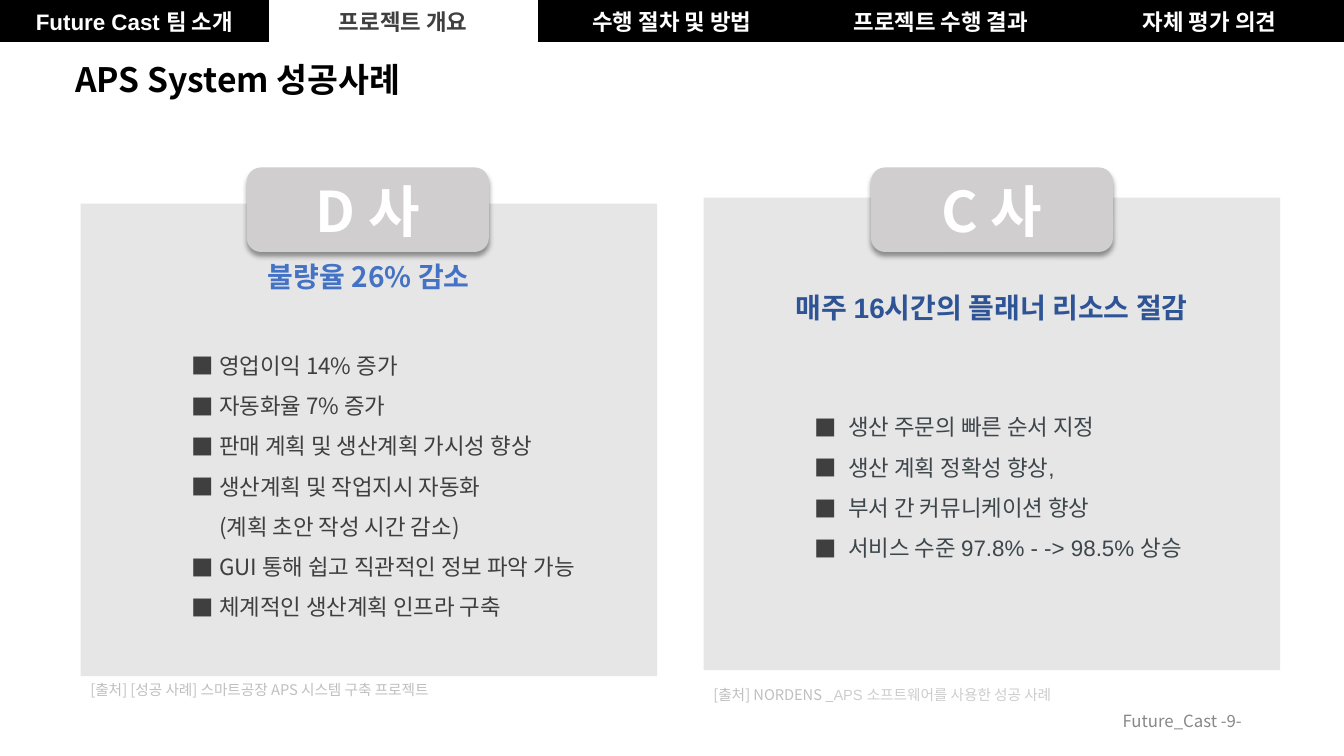
from dataclasses import dataclass

from pptx import Presentation
from pptx.dml.color import RGBColor
from pptx.enum.shapes import MSO_SHAPE
from pptx.enum.text import MSO_ANCHOR, MSO_AUTO_SIZE, PP_ALIGN
from pptx.oxml import parse_xml
from pptx.oxml.ns import nsdecls, qn
from pptx.util import Cm, Pt


@dataclass(frozen=True)
class Style:
    size: float
    color: str
    face: str = "Noto Sans CJK KR"
    bold: bool = False


class Theme:
    korean = "Noto Sans CJK KR"
    panel = "E7E6E6"
    badge = "D0CECE"
    tab_fill = "000000"
    active_fill = "FFFFFF"
    bullet = "3F3F3F"
    tab = Style(16, "FFFFFF", "Arial", True)
    active_tab = Style(16, "3F3F3F", "Arial", True)
    title = Style(24, "000000", bold=True)
    badge_text = Style(40, "FFFFFF", bold=True)
    headline_d = Style(20, "4472C4", bold=True)
    headline_c = Style(20, "2F5496", "Arial", True)
    body_d = Style(16, "3F3F3F")
    body_c = Style(16, "3C464B", "Arial")
    source = Style(10.5, "BFBFBF")
    source_light = Style(10.5, "CDCDCD", "Arial")
    footer = Style(12, "888888")


BODY_PITCH = Pt(28.8)
PANEL_WIDTH, PANEL_HEIGHT = Cm(14.53), Cm(11.91)
TABS = ["Future Cast 팀 소개", "프로젝트 개요", "수행 절차 및 방법", "프로젝트 수행 결과", "자체 평가 의견"]
ACTIVE_TAB = 1
NOTE = "(계획 초안 작성 시간 감소)"
RESULTS_D = [
    "영업이익 14% 증가",
    "자동화율 7% 증가",
    "판매 계획 및 생산계획 가시성 향상",
    "생산계획 및 작업지시 자동화",
    NOTE,
    "GUI 통해 쉽고 직관적인 정보 파악 가능",
    "체계적인 생산계획 인프라 구축",
]
RESULTS_C = [
    "생산 주문의 빠른 순서 지정",
    "생산 계획 정확성 향상,",
    "부서 간 커뮤니케이션 향상",
    "서비스 수준 97.8% - -> 98.5% 상승",
]


def apply_style(font, properties, style):
    font.size = Pt(style.size)
    font.bold = style.bold
    font.color.rgb = RGBColor.from_string(style.color)
    font.name = style.face
    latin = properties().find(qn("a:latin"))
    latin.addnext(parse_xml(f'<a:ea {nsdecls("a")} typeface="{Theme.korean}"/>'))


def write(para, text, style, align=PP_ALIGN.LEFT):
    para.alignment = align
    para.add_run().text = text
    apply_style(para.font, lambda: para._p.pPr.find(qn("a:defRPr")), style)


def write_span(para, text, style):
    span = para.add_run()
    span.text = text
    apply_style(span.font, lambda: span._r.rPr, style)


def set_bullet(para, margin, hanging, marked):
    properties = para._p.get_or_add_pPr()
    properties.set("marL", str(margin))
    properties.set("indent", str(-hanging if marked else 0))
    if marked:
        for xml in (
            f'<a:buClr {nsdecls("a")}><a:srgbClr val="{Theme.bullet}"/></a:buClr>',
            f'<a:buFont {nsdecls("a")} typeface="{Theme.korean}"/>',
            f'<a:buChar {nsdecls("a")} char="■"/>',
        ):
            properties.append(parse_xml(xml))


def add_block(page, kind, left, top, width, height, color):
    block = page.shapes.add_shape(kind, left, top, width, height)
    block.shadow.inherit = False
    block.fill.solid()
    block.fill.fore_color.rgb = RGBColor.from_string(color)
    block.line.fill.background()
    block.text_frame.word_wrap = True
    block.text_frame.vertical_anchor = MSO_ANCHOR.MIDDLE
    return block


def add_panel(page, left, top, headline, headline_style, gap, results, style, hanging):
    panel = add_block(page, MSO_SHAPE.RECTANGLE, left, top, PANEL_WIDTH, PANEL_HEIGHT, Theme.panel)
    frame = panel.text_frame
    heading = frame.paragraphs[0]
    heading.space_after = gap
    write(heading, headline, headline_style, PP_ALIGN.CENTER)
    for result in results:
        para = frame.add_paragraph()
        set_bullet(para, Cm(2.54) + hanging, hanging, result != NOTE)
        para.line_spacing = BODY_PITCH
        write(para, result, style)
    return panel


def add_badge(page, left, text):
    badge = add_block(page, MSO_SHAPE.ROUNDED_RECTANGLE, left, Cm(4.22), Cm(6.1), Cm(2.13), Theme.badge)
    badge._element.spPr.find(qn("a:effectLst")).append(parse_xml(
        f'<a:outerShdw {nsdecls("a")} blurRad="{Pt(4)}" dist="{Pt(3)}" dir="5400000" rotWithShape="0">'
        '<a:srgbClr val="000000"><a:alpha val="40000"/></a:srgbClr></a:outerShdw>'
    ))
    write(badge.text_frame.paragraphs[0], text, Theme.badge_text, PP_ALIGN.CENTER)


def add_text_box(page, left, top, width, height):
    box = page.shapes.add_textbox(left, top, width, height)
    box.text_frame.word_wrap = True
    box.text_frame.auto_size = MSO_AUTO_SIZE.SHAPE_TO_FIT_TEXT
    return box.text_frame


def add_tabs(page, width):
    table = page.shapes.add_table(1, len(TABS), 0, 0, width, Cm(1.06)).table
    table.first_row = table.horz_banding = False
    table._tbl.tblPr.find(qn("a:tableStyleId")).text = "{2D5ABB26-0587-4C30-8999-92F81FD0307C}"
    for index, label in enumerate(TABS):
        active = index == ACTIVE_TAB
        cell = table.cell(0, index)
        cell.fill.solid()
        cell.fill.fore_color.rgb = RGBColor.from_string(Theme.active_fill if active else Theme.tab_fill)
        style = Theme.active_tab if active else Theme.tab
        write(cell.text_frame.paragraphs[0], label, style, PP_ALIGN.CENTER)


def main():
    deck = Presentation()
    deck.slide_width, deck.slide_height = Cm(33.87), Cm(19.05)
    page = deck.slides.add_slide(deck.slide_layouts[6])

    panel_c = add_panel(page, Cm(17.73), Cm(4.98), "매주 16시간의 플래너 리소스 절감",
                        Theme.headline_c, Pt(54), RESULTS_C, Theme.body_c, Cm(0.86))
    panel_c.text_frame.paragraphs[0].line_spacing = Pt(36)
    panel_c.text_frame.margin_bottom = Cm(0.95)
    add_tabs(page, deck.slide_width)

    footer = add_text_box(page, Cm(23.93), Cm(17.65), Cm(7.62), Cm(1.02))
    footer.auto_size = MSO_AUTO_SIZE.NONE
    footer.vertical_anchor = MSO_ANCHOR.MIDDLE
    write(footer.paragraphs[0], "Future_Cast -9-", Theme.footer, PP_ALIGN.RIGHT)

    add_panel(page, Cm(2.03), Cm(5.13), "불량율 26% 감소",
              Theme.headline_d, Pt(32.4), RESULTS_D, Theme.body_d, Cm(0.7))
    add_badge(page, Cm(6.22), "D 사")
    add_badge(page, Cm(21.95), "C 사")

    source_d = add_text_box(page, Cm(2.03), Cm(17.04), Cm(10.85), Cm(0.71))
    write(source_d.paragraphs[0], "[출처] [성공 사례] 스마트공장 APS 시스템 구축 프로젝트", Theme.source)
    title = add_text_box(page, Cm(1.65), Cm(1.37), Cm(9.04), Cm(1.27))
    write(title.paragraphs[0], "APS System 성공사례", Theme.title)
    source_c = add_text_box(page, Cm(17.73), Cm(17.15), Cm(10.85), Cm(0.71))
    write_span(source_c.paragraphs[0], "[출처] NORDENS _", Theme.source)
    write_span(source_c.paragraphs[0], "APS 소프트웨어를 사용한 성공 사례", Theme.source_light)

    deck.save("out.pptx")


if __name__ == "__main__":
    main()
